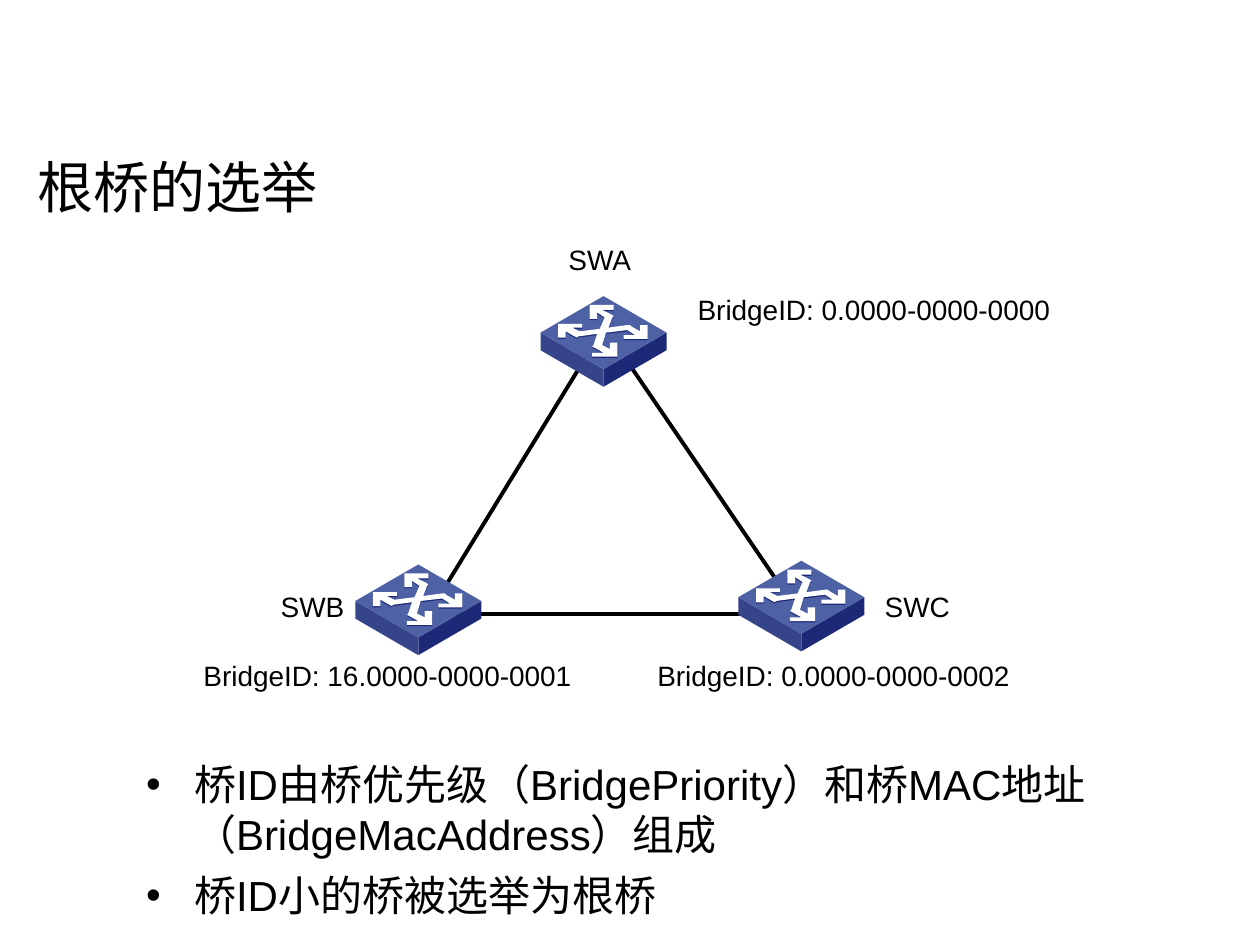
import pptx
import pptx.util
import pptx.dml.color
import pptx.enum.shapes
import pptx.enum.text
import lxml.etree

Inches = pptx.util.Inches
Pt = pptx.util.Pt
RGB = pptx.dml.color.RGBColor
Align = pptx.enum.text.PP_ALIGN
Anchor = pptx.enum.text.MSO_ANCHOR
Fit = pptx.enum.text.MSO_AUTO_SIZE

BLACK = RGB(0x00, 0x00, 0x00)
WHITE = RGB(0xFF, 0xFF, 0xFF)
NAVY = RGB(0x1D, 0x29, 0x77)
BLUE = RGB(0x36, 0x45, 0x8A)
LIGHT = RGB(0x4D, 0x61, 0xA4)

RIGHT = [(100, 29), (100, 43), (50, 72), (50, 58)]
LEFT = [(50, 58), (50, 72), (0, 43), (0, 29)]
TOP = [(100, 29), (50, 58), (0, 29), (50, 0)]
ARROWS = [
    (85, 23), (79, 23), (79, 28), (72, 24), (71, 23), (69, 23), (54, 25), (57, 17),
    (58, 16), (57, 15), (49, 11), (58, 11), (58, 7), (39, 7), (39, 18), (45, 18),
    (45, 13), (51, 17), (47, 26), (31, 28), (25, 25), (33, 25), (33, 22), (14, 22),
    (14, 33), (20, 33), (20, 28), (27, 32), (29, 33), (30, 32), (45, 30), (42, 39),
    (41, 40), (43, 41), (50, 45), (41, 45), (41, 48), (61, 48), (61, 37), (55, 37),
    (55, 42), (49, 39), (52, 29), (69, 27), (75, 31), (66, 31), (66, 34), (85, 34),
]
DROP = [(x, y + 1) for x, y in ARROWS]
FACES = [(RIGHT, NAVY), (LEFT, BLUE), (TOP, LIGHT), (DROP, NAVY), (ARROWS, WHITE)]

LINKS = [(3.5, 4.71, 4.61, 2.9), (3.58, 4.87, 6.02, 4.87), (5, 2.9, 6.18, 4.63)]
NODES = [(2.82, 4.48), (5.86, 4.45), (4.29, 2.35)]
NAMES = [("SWA", 4.05, 1.88), ("SWB", 1.77, 4.63), ("SWC", 6.57, 4.63)]
BRIDGES = [
    ("BridgeID: 0.0000-0000-0000", 5.24, 2.27),
    ("BridgeID: 16.0000-0000-0001", 1.38, 5.18),
    ("BridgeID: 0.0000-0000-0002", 4.92, 5.18),
]
POINTS = [
    "桥ID由桥优先级（BridgePriority）和桥MAC地址（BridgeMacAddress）组成",
    "桥ID小的桥被选举为根桥",
]


class Deck:
    """Holds the text style and the current slide."""

    def __init__(self, font, color):
        self.font = font
        self.color = color
        self.file = pptx.Presentation()
        self.file.slide_width = Inches(10)
        self.file.slide_height = Inches(7.5)
        self.slide = self.file.slides.add_slide(self.file.slide_layouts[1])
        self.shapes = self.slide.shapes

    def place(self, shape, left, top, width, height):
        shape.left, shape.top = Inches(left), Inches(top)
        shape.width, shape.height = Inches(width), Inches(height)

    def add_text(self, para, text, size):
        run = para.add_run()
        run.text = text
        run.font.size = Pt(size)
        run.font.name = self.font
        run.font.color.rgb = self.color

    def title(self, text, *box):
        shape = self.shapes.title
        self.place(shape, *box)
        frame = shape.text_frame
        frame.auto_size = Fit.NONE
        frame.vertical_anchor = Anchor.MIDDLE
        para = frame.paragraphs[0]
        para.alignment = Align.LEFT
        self.add_text(para, text, 32)

    def body(self, items, *box):
        shape = self.slide.placeholders[1]
        self.place(shape, *box)
        frame = shape.text_frame
        frame.auto_size = Fit.NONE
        for i, text in enumerate(items):
            para = frame.add_paragraph() if i else frame.paragraphs[0]
            para.space_before = Pt(6)
            props = para._p.get_or_add_pPr()
            props.set("marL", str(Inches(0.38)))
            props.set("indent", str(-Inches(0.38)))
            self.add_text(para, text, 24)

    def label(self, text, left, top, width):
        box = self.shapes.add_textbox(Inches(left), Inches(top), Inches(width), Inches(0.37))
        frame = box.text_frame
        frame.word_wrap = True
        frame.auto_size = Fit.SHAPE_TO_FIT_TEXT
        para = frame.paragraphs[0]
        para.alignment = Align.CENTER
        para.space_before = Pt(10)
        self.add_text(para, text, 16)

    def link(self, *ends):
        line = self.shapes.add_connector(
            pptx.enum.shapes.MSO_CONNECTOR.STRAIGHT, *map(Inches, ends))
        line.line.color.rgb = self.color
        line.line.width = Pt(2.25)
        lxml.etree.SubElement(line._element.spPr, pptx.oxml.ns.qn("a:effectLst"))

    def switch(self, left, top):
        group = self.shapes.add_group_shape()
        for points, color in FACES:
            pen = group.shapes.build_freeform(*points[0], scale=Inches(0.01))
            pen.add_line_segments(points[1:], close=True)
            face = pen.convert_to_shape(Inches(left), Inches(top))
            face.fill.solid()
            face.fill.fore_color.rgb = color
            face.line.fill.background()
            face.shadow.inherit = False


def main():
    deck = Deck("Arial", BLACK)
    deck.title("根桥的选举", 0.2, 1.24, 7.64, 0.48)
    for ends in LINKS:
        deck.link(*ends)
    for node in NODES:
        deck.switch(*node)
    for name in NAMES:
        deck.label(*name, 1.42)
    deck.body(POINTS, 1.06, 5.97, 7.72, 1.42)
    for bridge in BRIDGES:
        deck.label(*bridge, 3.39)
    deck.file.save("out.pptx")


if __name__ == "__main__":
    main()
